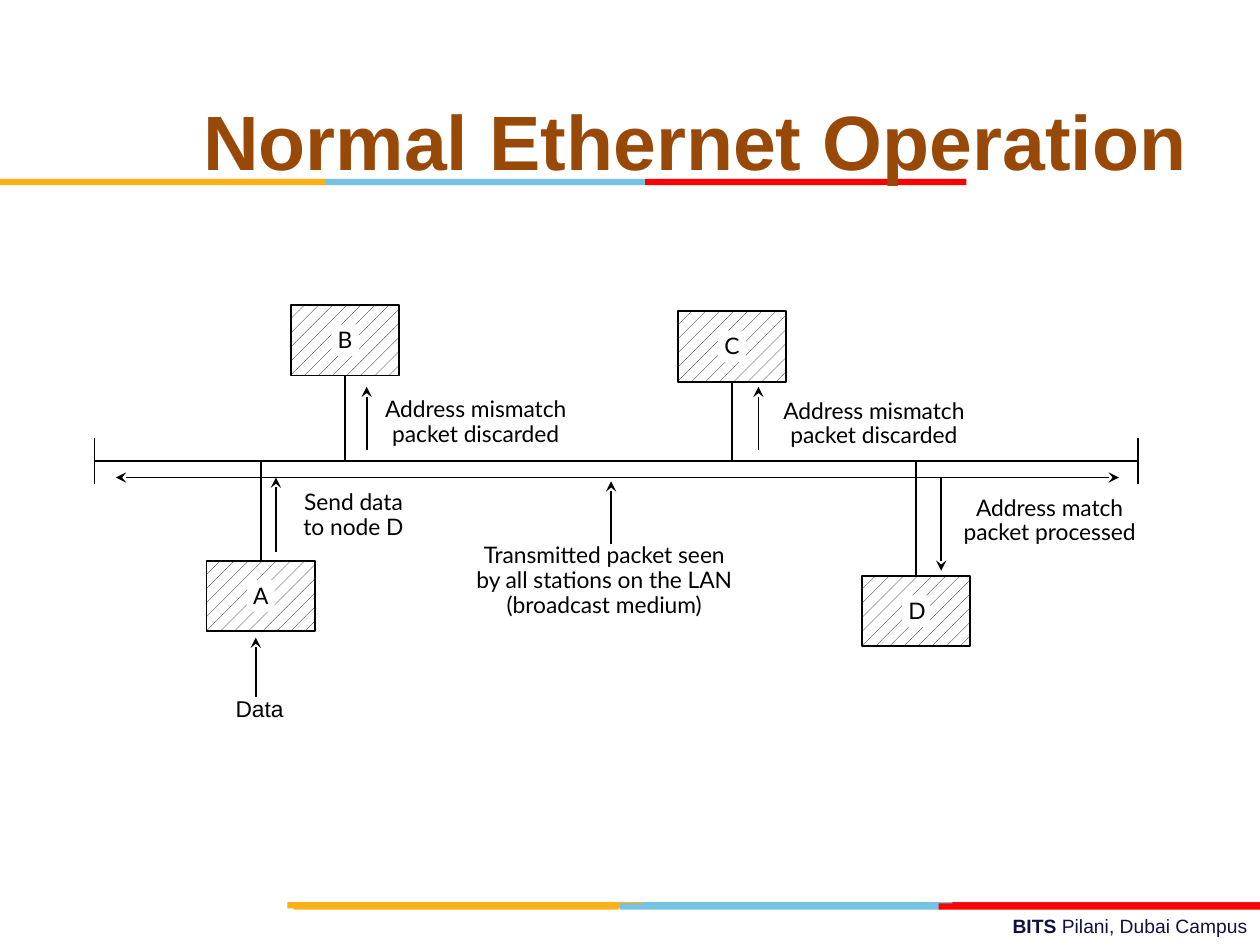
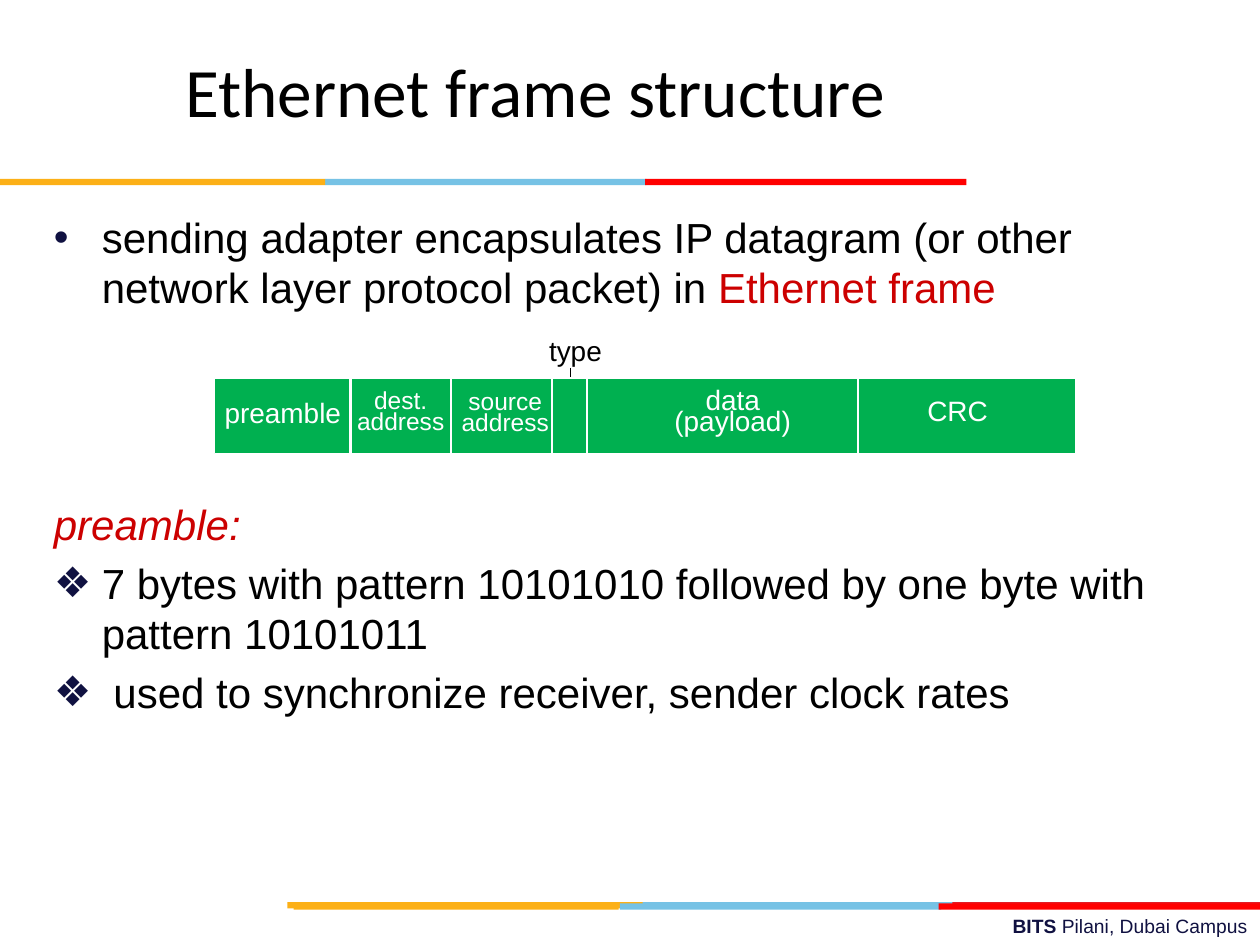
from dataclasses import dataclass

from lxml import etree
from pptx import Presentation
from pptx import util as u
from pptx.dml.color import RGBColor
from pptx.enum import dml, shapes, text
from pptx.oxml.ns import qn

# The slide is a grid of 100 columns by 75 rows.
COLUMNS, ROWS = 100, 75
WIDTH, HEIGHT = u.Inches(10), u.Inches(7.5)

BLACK, WHITE = "000000", "FFFFFF"
GOLD, SKY, RED, CRIMSON = "FCB017", "76C2E5", "FF0000", "E31C24"
NAVY, BROWN, GREEN, ACCENT = "101141", "984807", "00B050", "CC0000"
CENTER, LEFT, RIGHT = text.PP_ALIGN.CENTER, text.PP_ALIGN.LEFT, text.PP_ALIGN.RIGHT
TOP_SIDE, BOTTOM_SIDE = 0, 2


@dataclass
class Cell:
    left: float
    top: float
    width: float
    height: float

    def emu(self):
        return (across(self.left), down(self.top),
                across(self.width), down(self.height))


@dataclass
class Span:
    text: str
    bold: bool = False
    italic: bool = False
    color: str | None = None


@dataclass
class Point:
    spans: list[Span]
    bullet: str = ""
    before: float = 0


@dataclass
class Bar:
    left: float
    top: float
    width: float
    color: str


@dataclass
class Station:
    name: str
    left: float
    top: float
    bus_side: int


@dataclass
class Arrow:
    start: tuple[float, float]
    end: tuple[float, float]
    both: bool = False


@dataclass
class Label:
    cell: Cell
    lines: list[str]
    size: float = 13


BARS = [
    Bar(50.6, 71.6, 25.5, SKY), Bar(75.6, 71.6, 24.4, CRIMSON), Bar(22.8, 71.6, 28.2, GOLD),
    Bar(49.2, 71.7, 25.5, SKY), Bar(23.3, 71.7, 25.8, GOLD), Bar(74.5, 71.7, 25.5, RED),
    Bar(25.8, 14.2, 25.5, SKY), Bar(0, 14.2, 25.8, GOLD), Bar(51.2, 14.2, 25.5, RED),
]

BUS_ROW, SIGNAL_ROW = 36.6, 37.9
BUS_LEFT, BUS_RIGHT = 7.5, 90.3
STATION_WIDTH, STATION_HEIGHT = 8.6, 5.6
PATCH_WIDTH, PATCH_HEIGHT = 2.2, 2.5
STATIONS = [
    Station("A", 16.4, 44.5, TOP_SIDE),
    Station("B", 23.1, 24.2, BOTTOM_SIDE),
    Station("C", 53.8, 24.7, BOTTOM_SIDE),
    Station("D", 68.4, 45.7, TOP_SIDE),
]
ARROWS = [
    Arrow((20.3, 55.3), (20.3, 50.6)),
    Arrow((9.2, SIGNAL_ROW), (88.8, SIGNAL_ROW), both=True),
    Arrow((21.9, 43.8), (21.9, SIGNAL_ROW)),
    Arrow((74.7, SIGNAL_ROW), (74.7, 45.3)),
    Arrow((60.2, 35.7), (60.2, 30.7)),
    Arrow((29.1, 35.7), (29.1, 30.7)),
    Arrow((48.5, 43.2), (48.5, 38.2)),
]
MISMATCH = ["Address mismatch", "packet discarded"]
NOTES = [
    Label(Cell(29.4, 31.1, 16.7, 4.9), MISMATCH),
    Label(Cell(61, 31.2, 16.7, 4.9), MISMATCH),
    Label(Cell(75.3, 38.9, 16, 4.9), ["Address match", "packet processed"]),
    Label(Cell(23, 38.5, 10.1, 4.9), ["Send data", "to node D"]),
    Label(Cell(36.8, 42.7, 22.3, 6.8),
          ["Transmitted packet seen", "by all stations on the LAN", "(broadcast medium)"]),
]

FRAME = Cell(17, 30, 68.4, 6)
FIELD_EDGES = [27.8, 35.8, 43.8, 46.6, 68.1]
FIELDS = [
    Label(Cell(27.2, 30.7, 9.2, 4.5), ["dest.", "address"], 14),
    Label(Cell(35.5, 30.8, 9.2, 4.5), ["source", "address"], 14),
    Label(Cell(50.6, 30.9, 15.1, 4.5), ["data (payload)"], 16),
    Label(Cell(71.3, 31.7, 9.4, 2.9), ["CRC"], 16),
    Label(Cell(16.6, 31.9, 11.7, 2.9), ["preamble"], 16),
]
POINTS = [
    Point([Span("sending adapter encapsulates IP datagram (or other network layer "
                "protocol packet) in "), Span("Ethernet frame", color=ACCENT)], "•"),
    Point([Span("preamble:", italic=True, color=ACCENT)], before=106.5),
    Point([Span("7 bytes with pattern 10101010 followed by one byte with "
                "pattern 10101011")], "❖", 4.8),
    Point([Span(" used to synchronize receiver, sender clock rates")], "❖", 4.8),
]


def across(columns: float) -> int:
    return round(WIDTH * columns / COLUMNS)


def down(rows: float) -> int:
    return round(HEIGHT * rows / ROWS)


def rgb(value: str) -> RGBColor:
    return RGBColor.from_string(value)


def add_text(page, cell: Cell, lines: list, *, size: float, font="Arial", color=BLACK,
             align=CENTER, anchor=text.MSO_ANCHOR.TOP, spacing=None, wrap=True,
             inset=(0.1, 0.05)):
    """Write one paragraph per line; a line is a string or a list of spans."""
    box = page.shapes.add_textbox(*cell.emu())
    frame = box.text_frame
    frame.word_wrap = wrap
    frame.vertical_anchor = anchor
    frame.margin_left = frame.margin_right = u.Inches(inset[0])
    frame.margin_top = frame.margin_bottom = u.Inches(inset[1])
    for index, line in enumerate(lines):
        para = frame.add_paragraph() if index else frame.paragraphs[0]
        para.alignment = align
        para.line_spacing = spacing
        for span in [Span(line)] if isinstance(line, str) else line:
            run = para.add_run()
            run.text = span.text
            run.font.name, run.font.size = font, u.Pt(size)
            run.font.bold, run.font.italic = span.bold, span.italic
            run.font.color.rgb = rgb(span.color or color)
    return box


def add_rect(page, cell: Cell, fill: str, line: str | None = None, weight: float = 1):
    rect = page.shapes.add_shape(shapes.MSO_SHAPE.RECTANGLE, *cell.emu())
    rect.shadow.inherit = False
    rect.fill.solid()
    rect.fill.fore_color.rgb = rgb(fill)
    if line:
        rect.line.color.rgb = rgb(line)
        rect.line.width = u.Pt(weight)
    else:
        rect.line.fill.background()
    return rect


def add_line(page, start: tuple, end: tuple, color=BLACK, weight: float = 1, heads=()):
    """Draw a straight line; heads names the ends that carry an arrowhead."""
    line = page.shapes.add_connector(
        shapes.MSO_CONNECTOR.STRAIGHT,
        across(start[0]), down(start[1]), across(end[0]), down(end[1]))
    line.line.color.rgb = rgb(color)
    line.line.width = u.Pt(weight)
    properties = line.element.spPr
    for head in heads:
        etree.SubElement(properties.find(qn("a:ln")), qn(f"a:{head}"), type="stealth")
    etree.SubElement(properties, qn("a:effectLst"))
    return line


def set_bullet(para, bullet: str):
    """Hang the paragraph and give it a bullet, if there is one."""
    properties = para._p.get_or_add_pPr()
    properties.set("marL", str(u.Inches(0.38)))
    properties.set("indent", str(-u.Inches(0.38)))
    if bullet:
        tint = etree.SubElement(properties, qn("a:buClr"))
        etree.SubElement(tint, qn("a:srgbClr"), val=NAVY)
        etree.SubElement(properties, qn("a:buFont"), typeface="Arial")
        etree.SubElement(properties, qn("a:buChar"), char=bullet)


def add_page(deck):
    """Add a blank slide with the shared footer and colour bands."""
    page = deck.slides.add_slide(deck.slide_layouts[6])
    add_text(page, Cell(35.8, 72.1, 64.2, 2.9),
             [[Span("BITS ", bold=True), Span("Pilani, Dubai Campus")]],
             size=11, color=NAVY, align=RIGHT)
    for bar in BARS:
        add_rect(page, Cell(bar.left, bar.top, bar.width, 0.5), bar.color)
    return page


def add_title(page, cell: Cell, title: Span, **style):
    add_text(page, cell, [[title]], anchor=text.MSO_ANCHOR.MIDDLE, **style)


def add_station(page, station: Station):
    box = add_rect(page, Cell(station.left, station.top, STATION_WIDTH, STATION_HEIGHT),
                   WHITE, BLACK)
    box.fill.patterned()
    box.fill.pattern = dml.MSO_PATTERN.PERCENT_10
    box.fill.fore_color.rgb, box.fill.back_color.rgb = rgb(BLACK), rgb(WHITE)

    middle = station.left + STATION_WIDTH / 2
    side = station.top + (STATION_HEIGHT if station.bus_side == BOTTOM_SIDE else 0)
    stub = add_line(page, (middle, side), (middle, BUS_ROW))
    stub.begin_connect(box, station.bus_side)

    patch = Cell(middle - PATCH_WIDTH / 2,
                 station.top + (STATION_HEIGHT - PATCH_HEIGHT) / 2,
                 PATCH_WIDTH, PATCH_HEIGHT)
    name = add_text(page, patch, [station.name], size=13, font="Lato", align=LEFT,
                    spacing=0.97, wrap=False, inset=(0.05, 0.02))
    name.fill.solid()
    name.fill.fore_color.rgb = rgb(WHITE)


def build_operation(deck):
    page = add_page(deck)
    add_title(page, Cell(10.4, 5, 89.6, 12.2), Span("Normal Ethernet Operation", bold=True),
              size=44, color=BROWN)
    add_line(page, (BUS_LEFT, BUS_ROW), (BUS_RIGHT, BUS_ROW))
    for end in (BUS_LEFT, BUS_RIGHT):
        add_line(page, (end, BUS_ROW - 1.8), (end, BUS_ROW + 1.8))
    for station in STATIONS:
        add_station(page, station)
    for arrow in ARROWS:
        heads = ("headEnd", "tailEnd") if arrow.both else ("tailEnd",)
        add_line(page, arrow.start, arrow.end, heads=heads)
    for note in NOTES:
        add_text(page, note.cell, note.lines, size=note.size, font="Lato", spacing=0.9,
                 wrap=False, inset=(0.09, 0.05))
    add_text(page, Cell(17.8, 54.9, 5.7, 2.9), ["Data"], size=13, align=LEFT, spacing=0.9,
             wrap=False, inset=(0.09, 0.05))


def build_frame_structure(deck):
    page = add_page(deck)
    body = add_text(page, Cell(3.3, 16.3, 90, 49.5), [point.spans for point in POINTS],
                    size=24, align=LEFT)
    for para, point in zip(body.text_frame.paragraphs, POINTS):
        set_bullet(para, point.bullet)
        if point.before:
            para.space_before = u.Pt(point.before)
    add_title(page, Cell(0, 3.8, 85, 6.7), Span("Ethernet frame structure"),
              size=39.6, font="Calibri")

    add_line(page, (45.3, 29.2), (45.3, FRAME.top), weight=0.75)
    add_rect(page, FRAME, GREEN, WHITE, 0.75)
    for edge in FIELD_EDGES:
        add_line(page, (edge, FRAME.top), (edge, FRAME.top + FRAME.height), WHITE, 1.5)
    for field in FIELDS:
        add_text(page, field.cell, field.lines, size=field.size, color=WHITE,
                 spacing=u.Pt(12))
    add_text(page, Cell(42.6, 26, 8.4, 3.7), ["type"], size=16, align=LEFT)


def main():
    deck = Presentation()
    deck.slide_width, deck.slide_height = WIDTH, HEIGHT
    build_operation(deck)
    build_frame_structure(deck)
    deck.save("out.pptx")


if __name__ == "__main__":
    main()
